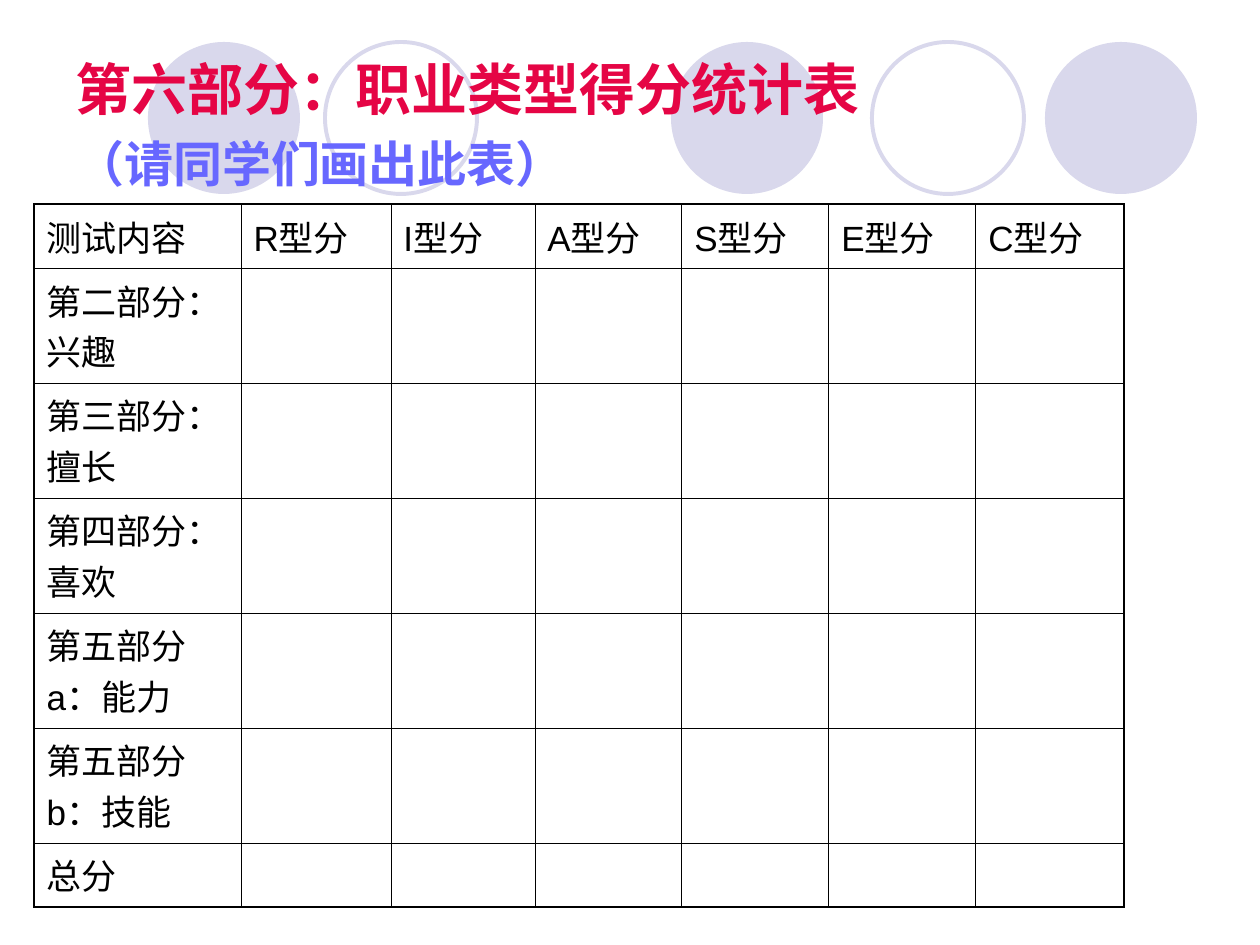
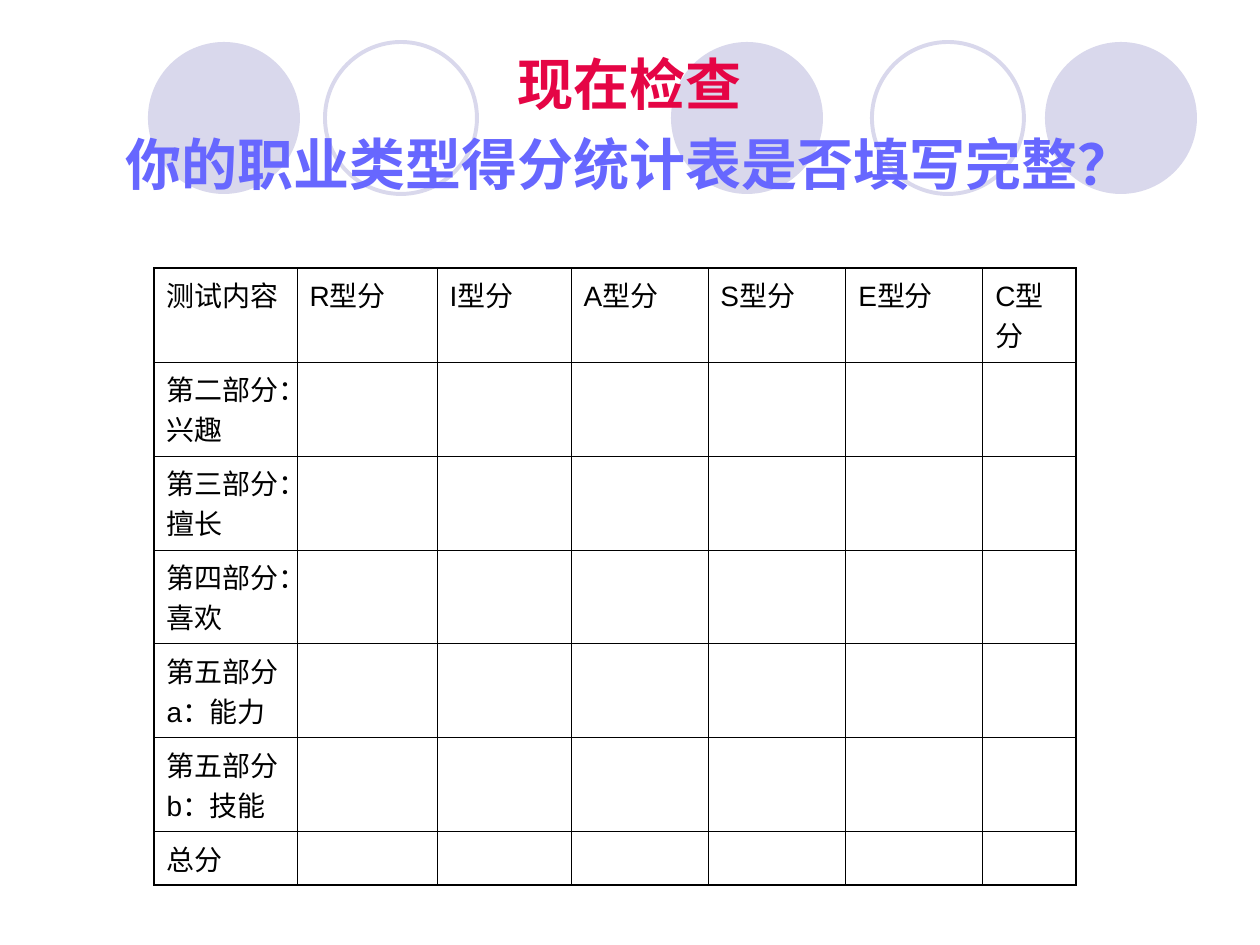
from dataclasses import dataclass

from lxml import etree
from pptx import Presentation
from pptx.dml.color import RGBColor
from pptx.enum import shapes, text
from pptx.oxml import ns
from pptx.util import Pt


@dataclass(frozen=True)
class Theme:
    font: str = "Arial"
    pale: str = "D9D8EC"
    red: str = "E50545"
    blue: str = "6767FF"
    ink: str = "000000"
    head: int = 32
    sub: int = 28
    ring: float = 2.25
    edge: float = 1.08
    grid: float = 0.45


THEME = Theme()
HEADS = ["测试内容"] + [f"{kind}型分" for kind in "RIASEC"]
PARTS = ["第二部分：兴趣", "第三部分：擅长", "第四部分：喜欢",
         "第五部分a：能力", "第五部分b：技能", "总分"]


def px(n):
    """Turn pixels, 126 to the inch, into EMU."""
    return round(n * 914400 / 126)


def rgb(code):
    return RGBColor.from_string(code)


def add_band(slide, box):
    """Row of discs and rings: offset from the box's left, and whether filled."""
    left, top, size = box
    marks = [(523, True), (897, True), (0, True), (724, False), (177, False)]
    for shift, full in marks:
        disc = slide.shapes.add_shape(
            shapes.MSO_SHAPE.OVAL, px(left + shift), px(top), px(size), px(size))
        disc.shadow.inherit = False
        if full:
            disc.fill.solid()
            disc.fill.fore_color.rgb = rgb(THEME.pale)
            disc.line.fill.background()
        else:
            disc.fill.background()
            disc.line.color.rgb = rgb(THEME.pale)
            disc.line.width = Pt(THEME.ring)


def add_title(slide, box, lines, sub, align):
    frame = slide.shapes.add_textbox(*map(px, box)).text_frame
    frame.word_wrap = True
    frame.vertical_anchor = text.MSO_ANCHOR.MIDDLE
    para = frame.paragraphs[0]
    para.alignment = align
    para.line_spacing = 1.2
    para.font.name = THEME.font
    para.font.bold = True
    para.font.size = Pt(THEME.head)
    top, low = lines
    run = para.add_run()
    run.text = top
    run.font.color.rgb = rgb(THEME.red)
    para.add_line_break()
    run = para.add_run()
    run.text = low
    run.font.size = Pt(sub)
    run.font.color.rgb = rgb(THEME.blue)


def set_edge(cell, side, width):
    props = cell._tc.get_or_add_tcPr()
    line = etree.SubElement(props, ns.qn(f"a:ln{side}"), w=str(Pt(width)))
    fill = etree.SubElement(line, ns.qn("a:solidFill"))
    etree.SubElement(fill, ns.qn("a:srgbClr"), val=THEME.ink)


def add_scores(slide, spot, cols, rows, size):
    """Score sheet with a heavier outer edge and cells left open to fill in."""
    box = (*spot, sum(cols), sum(rows))
    table = slide.shapes.add_table(len(rows), len(cols), *map(px, box)).table
    table.first_row = table.horz_banding = False
    for col, width in zip(table.columns, cols):
        col.width = px(width)
    for row, height in zip(table.rows, rows):
        row.height = px(height)
    last_row, last_col = len(rows) - 1, len(cols) - 1
    for r in range(len(rows)):
        for c in range(len(cols)):
            cell = table.cell(r, c)
            outer = {"L": c == 0, "R": c == last_col,
                     "T": r == 0, "B": r == last_row}
            for side, bold in outer.items():
                set_edge(cell, side, THEME.edge if bold else THEME.grid)
            cell.fill.background()
            if r and c:
                continue
            para = cell.text_frame.paragraphs[0]
            para.text = PARTS[r - 1] if r else HEADS[c]
            para.space_before = Pt(size / 4)
            para.font.name = THEME.font
            para.font.size = Pt(size)
            para.font.color.rgb = rgb(THEME.ink)


def add_page(deck, lines, sub, align, **scores):
    slide = deck.slides.add_slide(deck.slide_layouts[6])
    add_band(slide, (148, 42, 152))
    add_title(slide, (63, 38, 1134, 157), lines, sub, align)
    add_scores(slide, **scores)


def main():
    deck = Presentation()
    deck.slide_width, deck.slide_height = px(1260), px(945)
    add_page(deck, ("第六部分：职业类型得分统计表", "（请同学们画出此表）"),
             THEME.sub, text.PP_ALIGN.LEFT, spot=(34, 204),
             cols=[207, 150, 144, 147, 147, 147, 148],
             rows=[64] + [115] * 5 + [64], size=20)
    add_page(deck, ("现在检查", "你的职业类型得分统计表是否填写完整？"),
             THEME.head, text.PP_ALIGN.CENTER, spot=(154, 268),
             cols=[143, 140, 134, 137, 138, 137, 93],
             rows=[94] * 6 + [53], size=16)
    deck.save("out.pptx")


if __name__ == "__main__":
    main()
